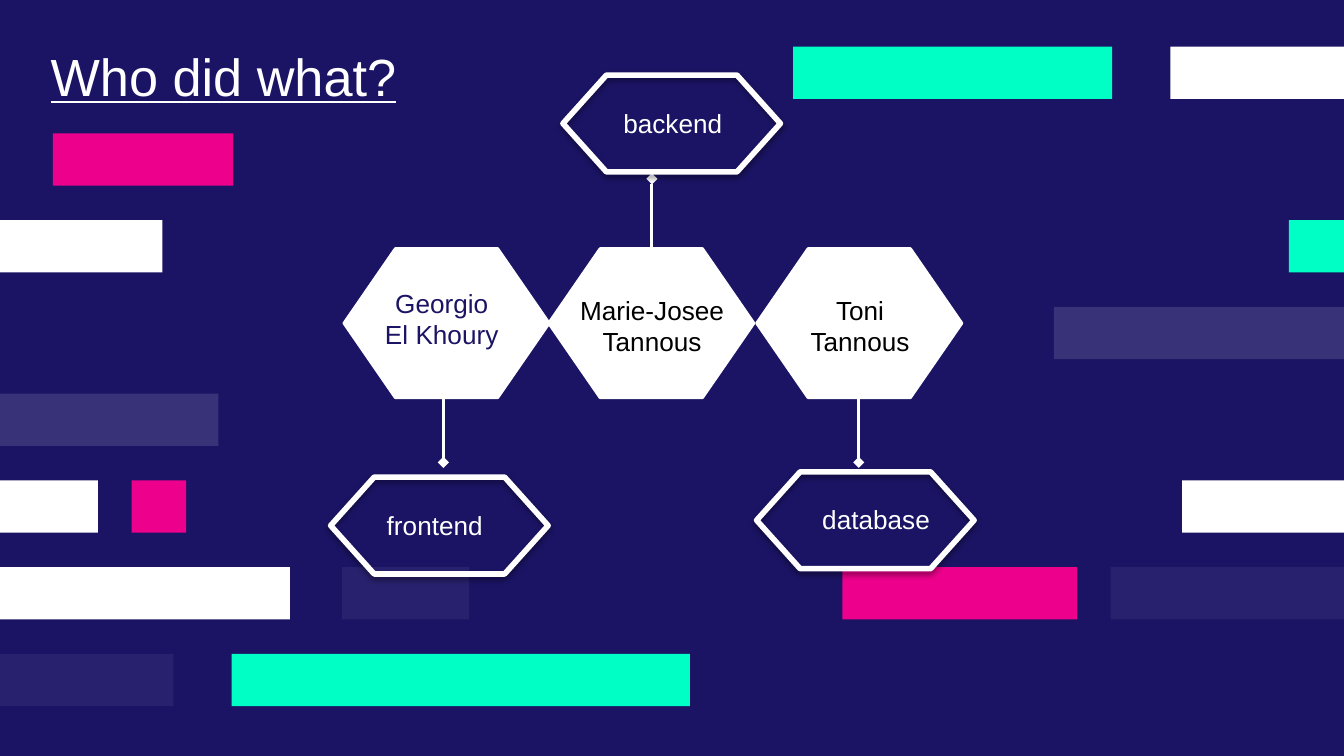
import pptx
import pptx.util
import pptx.dml.color
import pptx.enum.shapes
import pptx.enum.text
import pptx.oxml
import pptx.oxml.ns
from pptx.util import Cm

NAVY, WHITE, BLACK = "1B1464", "FFFFFF", "000000"
MINT, PINK = "00FFC5", "EC008C"
SHAPES = pptx.enum.shapes.MSO_SHAPE
LEFT = pptx.enum.text.PP_ALIGN.LEFT
CENTER = pptx.enum.text.PP_ALIGN.CENTER

BAR_TOP, BAR_PITCH, BAR_HEIGHT = 0.88, 1.64, 0.99
# row, left, width, colour, opacity in percent
BARS = [
    (0, 14.99, 6.03, MINT, 100),
    (0, 22.12, 3.28, WHITE, 100),
    (1, 1.0, 3.41, PINK, 100),
    (2, 0, 3.07, WHITE, 100),
    (2, 24.36, 1.04, MINT, 100),
    (3, 19.92, 5.48, WHITE, 13),
    (4, 0, 4.13, WHITE, 13),
    (5, 0, 1.85, WHITE, 100),
    (5, 2.49, 1.03, PINK, 100),
    (5, 22.34, 3.06, WHITE, 100),
    (6, 0, 5.48, WHITE, 100),
    (6, 6.46, 2.41, WHITE, 6),
    (6, 15.92, 4.44, PINK, 100),
    (6, 20.99, 4.41, WHITE, 6),
    (7, 0, 3.28, WHITE, 6),
    (7, 4.38, 8.66, MINT, 100),
]
# hexagon left, connector x, start y, end y
PEOPLE = [
    (6.5, 8.38, 7.39, 8.74),
    (10.37, 12.32, 4.75, 3.38),
    (14.3, 16.23, 7.39, 8.74),
]
# lines, left, top, width, colour
NAMES = [
    (["Georgio", "El Khoury"], 6.98, 5.31, 2.74, NAVY),
    (["Marie-Josee", "Tannous"], 10.52, 5.44, 3.61, BLACK),
    (["Toni", "Tannous"], 15.01, 5.44, 2.49, BLACK),
]
# text, frame left, frame top, label left, label top
ROLES = [
    ("frontend", 6.25, 9.02, 7.06, 9.5),
    ("backend", 10.64, 1.42, 11.53, 1.9),
    ("database", 14.3, 8.92, 15.29, 9.4),
]


def color(value):
    return pptx.dml.color.RGBColor.from_string(value)


def add_xml(parent, tag, content="", **attributes):
    """Append a drawing element to parent."""
    listed = " ".join(f'{name}="{value}"' for name, value in attributes.items())
    namespace = pptx.oxml.ns.nsdecls("a")
    parent.append(pptx.oxml.parse_xml(
        f"<a:{tag} {namespace} {listed}>{content}</a:{tag}>"))


def add_shape(page, kind, left, top, width, height, fill=None, line_width=0):
    shape = page.shapes.add_shape(kind, Cm(left), Cm(top), Cm(width), Cm(height))
    shape.shadow.inherit = False
    if fill:
        shape.fill.solid()
        shape.fill.fore_color.rgb = color(fill)
    else:
        shape.fill.background()
    if line_width:
        shape.line.color.rgb = color(WHITE)
        shape.line.width = pptx.util.Pt(line_width)
    else:
        shape.line.fill.background()
    return shape


def add_bar(page, row, left, width, fill, opacity):
    bar = add_shape(page, SHAPES.RECTANGLE, left, BAR_TOP + row * BAR_PITCH,
                    width, BAR_HEIGHT, fill)
    if opacity < 100:
        tint = bar._element.spPr.find(".//" + pptx.oxml.ns.qn("a:srgbClr"))
        add_xml(tint, "alpha", val=opacity * 1000)


def add_pointer(page, x, start, end):
    """Draw a vertical line that ends in a diamond."""
    pointer = page.shapes.add_connector(
        pptx.enum.shapes.MSO_CONNECTOR.STRAIGHT, Cm(x), Cm(start), Cm(x), Cm(end))
    pointer.line.color.rgb = color(WHITE)
    pointer.line.width = pptx.util.Pt(1.5)
    add_xml(pointer.line._get_or_add_ln(), "tailEnd", type="diamond")
    add_xml(pointer._element.spPr, "effectLst")


def add_hexagon(page, left):
    hexagon = add_shape(page, SHAPES.HEXAGON, left, 4.7, 3.88, 2.82, WHITE, 1.5)
    hexagon.adjustments[0] = 0.345


def add_frame(page, left, top):
    """Draw a hollow role outline with a soft shadow below it."""
    frame = add_shape(page, SHAPES.FLOWCHART_PREPARATION, left, top, 4.11, 1.83,
                      line_width=3)
    effects = frame._element.spPr.find(pptx.oxml.ns.qn("a:effectLst"))
    add_xml(effects, "outerShdw",
            '<a:srgbClr val="000000"><a:alpha val="38000"/></a:srgbClr>',
            blurRad=40000, dist=20000, dir=5400000, rotWithShape=0)


def add_text(page, lines, left, top, width, height, ink, size=14, align=LEFT,
             underline=None):
    box = page.shapes.add_textbox(Cm(left), Cm(top), Cm(width), Cm(height))
    frame = box.text_frame
    frame.word_wrap = True
    frame.text = "\n".join(lines)
    for para in frame.paragraphs:
        para.alignment = align
        para.font.name = "Arial"
        para.font.size = pptx.util.Pt(size)
        para.font.color.rgb = color(ink)
        para.font.underline = underline


def main():
    deck = pptx.Presentation()
    deck.slide_width, deck.slide_height = Cm(25.4), Cm(14.29)
    page = deck.slides.add_slide(deck.slide_layouts[6])
    page.background.fill.solid()
    page.background.fill.fore_color.rgb = color(NAVY)

    for bar in BARS:
        add_bar(page, *bar)
    for left, x, start, end in PEOPLE:
        add_pointer(page, x, start, end)
        add_hexagon(page, left)
    for lines, left, top, width, ink in NAMES:
        add_text(page, lines, left, top, width, 1.45, ink, align=CENTER)
    for role, left, top, label_left, label_top in ROLES:
        add_frame(page, left, top)
        add_text(page, [role], label_left, label_top, 2.9, 0.86, WHITE)
    add_text(page, ["Who did what?"], 0.71, 0.71, 12.7, 1.45, WHITE, size=28,
             underline=True)
    deck.save("out.pptx")


if __name__ == "__main__":
    main()
